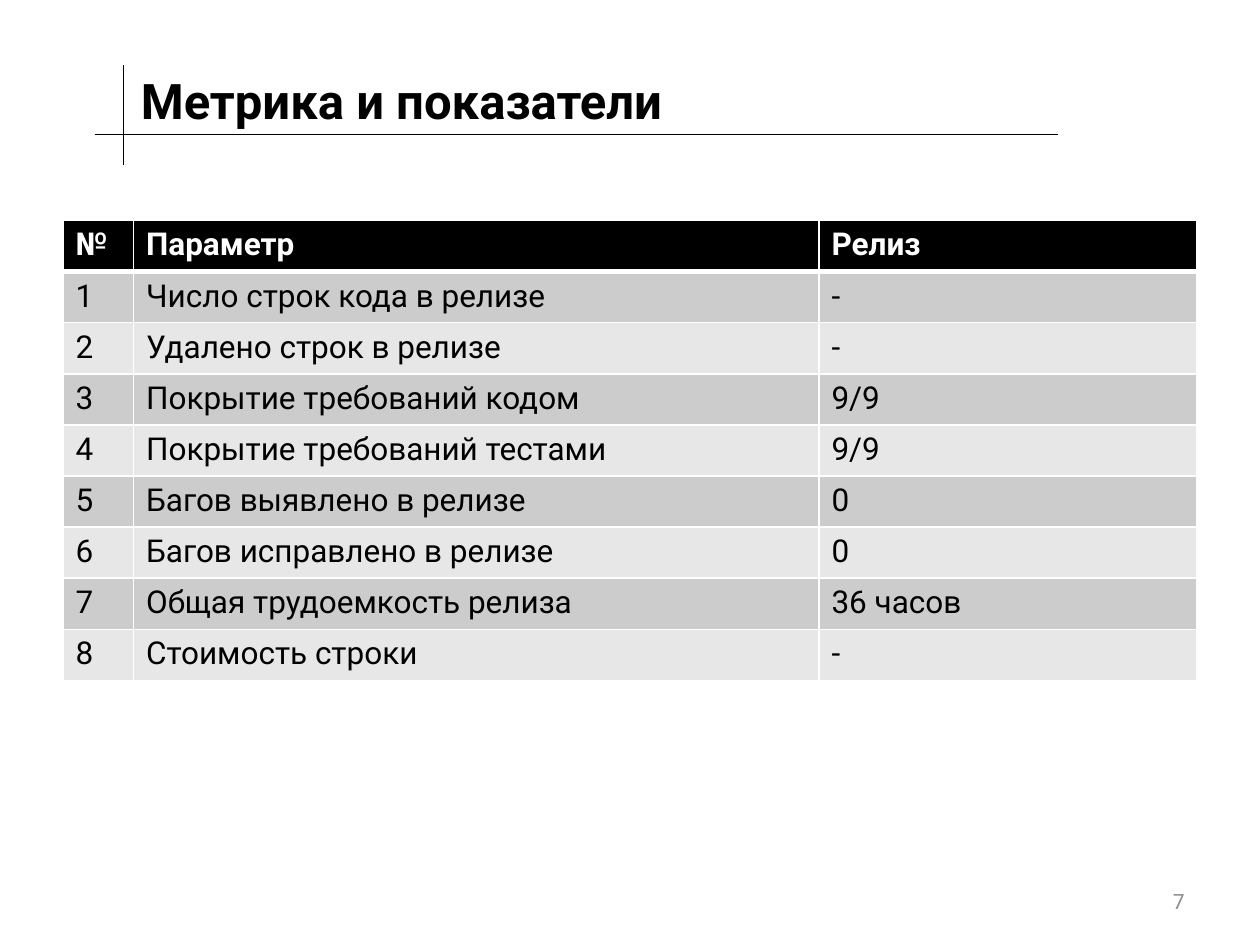
from pptx import Presentation
from pptx.dml.color import RGBColor
from pptx.enum.shapes import MSO_CONNECTOR
from pptx.enum.text import MSO_ANCHOR, PP_ALIGN
from pptx.oxml.ns import qn
from pptx.util import Inches, Pt
from lxml import etree

STRAIGHT = MSO_CONNECTOR.STRAIGHT
MIDDLE = MSO_ANCHOR.MIDDLE
LEFT, RIGHT = PP_ALIGN.LEFT, PP_ALIGN.RIGHT

FONT = "Roboto"
BLACK, WHITE, GRAY = "000000", "FFFFFF", "8C8C8C"
BAND_FILLS = ("CCCCCC", "E7E7E7")

HEADER = ("№", "Параметр", "Релиз")
METRICS = (
    ("Число строк кода в релизе", "-"),
    ("Удалено строк в релизе", "-"),
    ("Покрытие требований кодом", "9/9"),
    ("Покрытие требований тестами", "9/9"),
    ("Багов выявлено в релизе", "0"),
    ("Багов исправлено в релизе", "0"),
    ("Общая трудоемкость релиза", "36 часов"),
    ("Стоимость строки", "-"),
)
COLUMN_SHARES = (0.56, 5.44, 3)


def color(value):
    return RGBColor.from_string(value)


def style_paragraph(paragraph, size, font_color, bold=False):
    font = paragraph.font
    font.name, font.size, font.bold = FONT, Pt(size), bold
    font.color.rgb = color(font_color)


def add_text(slide, box, text, size, font_color, bold=False, align=LEFT):
    shape = slide.shapes.add_textbox(*map(Inches, box))
    frame = shape.text_frame
    frame.word_wrap = True
    frame.vertical_anchor = MIDDLE
    frame.text = text
    paragraph = frame.paragraphs[0]
    paragraph.alignment = align
    style_paragraph(paragraph, size, font_color, bold)


def add_line(slide, x1, y1, x2, y2):
    line = slide.shapes.add_connector(STRAIGHT, *map(Inches, (x1, y1, x2, y2)))
    line.line.color.rgb = color(BLACK)
    line.line.width = Pt(0.75)
    etree.SubElement(line._element.spPr, qn("a:effectLst"))


def set_borders(cell, top, bottom):
    """White borders; top and bottom widths are in points."""
    properties = cell._tc.get_or_add_tcPr()
    for side, width in (("L", 1), ("R", 1), ("T", top), ("B", bottom)):
        border = etree.SubElement(properties, qn(f"a:ln{side}"), w=str(Pt(width)))
        fill = etree.SubElement(border, qn("a:solidFill"))
        etree.SubElement(fill, qn("a:srgbClr"), val=WHITE)


def add_title(slide, left, top, width, height):
    # Crossed rules at the lower left corner of the title
    baseline = top + height
    rule_x = left - 0.04
    add_line(slide, rule_x - 0.23, baseline, rule_x + 7.42, baseline)
    add_line(slide, rule_x, baseline + 0.24, rule_x, top)
    add_text(slide, (left, top, width, height), "Метрика и показатели", 28, BLACK, bold=True)


def add_metrics_table(slide, left, top, width, height):
    rows = [HEADER] + [(str(number), *metric) for number, metric in enumerate(METRICS, 1)]
    box = map(Inches, (left, top, width, height))
    table = slide.shapes.add_table(len(rows), len(HEADER), *box).table
    for column, share in zip(table.columns, COLUMN_SHARES):
        column.width = Inches(width * share / sum(COLUMN_SHARES))

    for row_index, values in enumerate(rows):
        is_header = row_index == 0
        fill = BLACK if is_header else BAND_FILLS[(row_index - 1) % 2]
        for column_index, value in enumerate(values):
            cell = table.cell(row_index, column_index)
            cell.text = value
            style_paragraph(cell.text_frame.paragraphs[0], 18,
                            WHITE if is_header else BLACK, is_header)
            # A thicker border separates the header from the body
            set_borders(cell, 3 if row_index == 1 else 1, 3 if is_header else 1)
            cell.fill.solid()
            cell.fill.fore_color.rgb = color(fill)


def main():
    presentation = Presentation()
    presentation.slide_width, presentation.slide_height = Inches(10), Inches(7.5)
    slide = presentation.slides.add_slide(presentation.slide_layouts[6])
    add_metrics_table(slide, 0.5, 1.75, 9, 3.65)
    # Page number
    add_text(slide, (7.17, 6.95, 2.33, 0.4), "7", 12, GRAY, align=RIGHT)
    add_title(slide, 1.02, 0.52, 8.45, 0.55)
    presentation.save("out.pptx")


if __name__ == "__main__":
    main()
